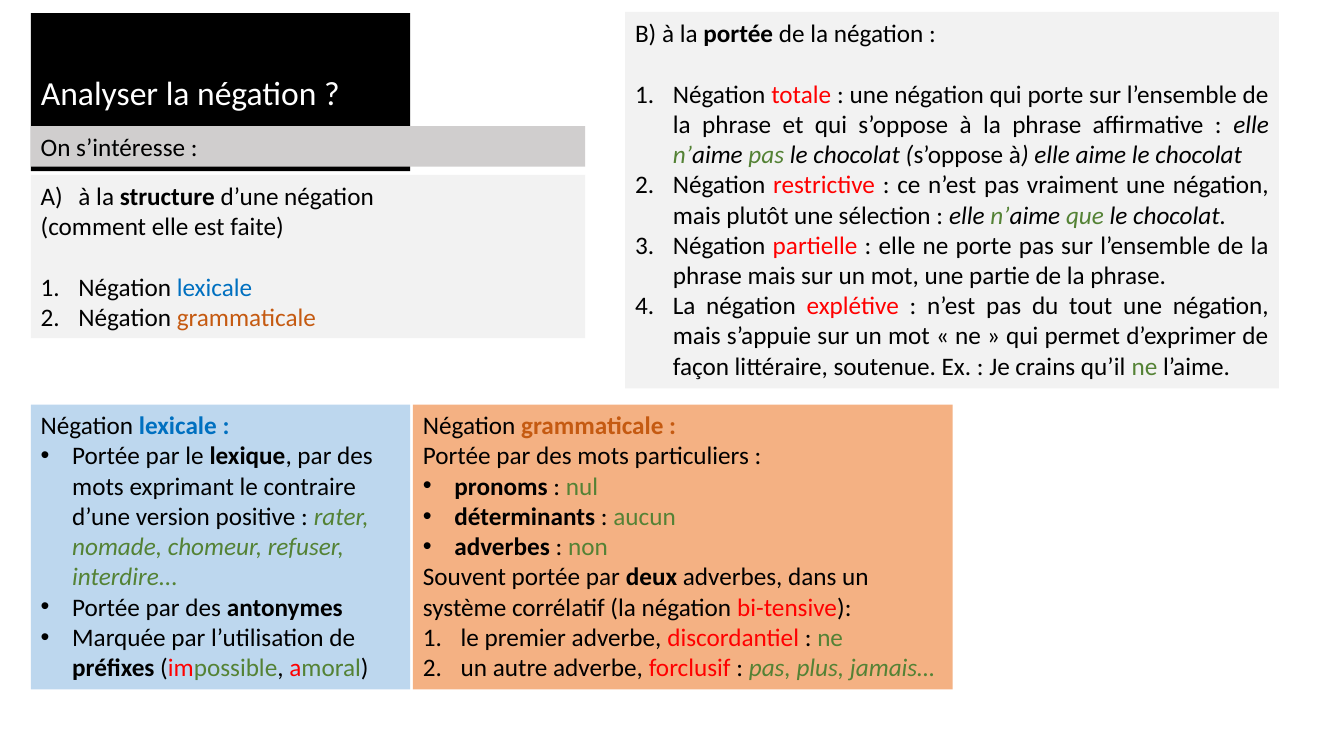
from lxml import etree
from pptx import Presentation
from pptx.dml.color import RGBColor
from pptx.enum import shapes, text
from pptx.oxml.ns import qn
from pptx.util import Pt

COLORS = {
    "black": "000000", "white": "FFFFFF", "light": "F2F2F2", "grey": "D0CECE",
    "sky": "BDD7EE", "peach": "F4B183", "blue": "0070C0", "orange": "C55A11",
    "green": "548235", "red": "FF0000",
}
FONT, SIZE, TITLE_SIZE = "Calibri", 18, 24
BLANK_LINE = 22  # points

# marker: (indent, bullet tag, bullet attributes)
MARKERS = {
    "A)": (27, "a:buAutoNum", {"type": "alphaUcParenR"}),
    "1.": (27, "a:buAutoNum", {"type": "arabicPeriod"}),
    "•": (22.5, "a:buChar", {"char": "•"}),
}

TITLE = "Analyser la négation ?"
TITLE_BOX = (22, 47.5, 271, 36.5)

# paragraph: (marker, space before, runs); a run is plain text or (text, styles)
INTEREST = [("", 0, ["On s’intéresse :"])]
STRUCTURE = [
    ("A)", 0, ["à la ", ("structure", "bold"), " d’une négation"]),
    ("", 0, ["(comment elle est faite)"]),
    ("1.", BLANK_LINE, ["Négation ", ("lexicale", "blue")]),
    ("1.", 0, ["Négation ", ("grammaticale", "orange")]),
]
SCOPE = [
    ("", 0, ["B) à la ", ("portée", "bold"), " de la négation :"]),
    ("1.", BLANK_LINE, [
        "Négation ", ("totale", "red"),
        " : une négation qui porte sur l’ensemble de la phrase et qui s’oppose "
        "à la phrase affirmative : ",
        ("elle ", "italic"), ("n’", "green italic"), ("aime ", "italic"),
        ("pas", "green italic"), (" le chocolat (", "italic"), "s’oppose à",
        (") elle aime le chocolat", "italic")]),
    ("1.", 0, [
        "Négation ", ("restrictive", "red"),
        " : ce n’est pas vraiment une négation, mais plutôt une sélection : ",
        ("elle ", "italic"), ("n’", "green italic"), ("aime ", "italic"),
        ("que", "green italic"), (" le chocolat.", "italic")]),
    ("1.", 0, [
        "Négation ", ("partielle", "red"),
        " : elle ne porte pas sur l’ensemble de la phrase mais sur un mot, "
        "une partie de la phrase."]),
    ("1.", 0, [
        "La négation ", ("explétive", "red"),
        " : n’est pas du tout une négation, mais s’appuie sur un mot « ne » qui "
        "permet d’exprimer de façon littéraire, soutenue. Ex. : Je crains qu’il ",
        ("ne", "green"), " l’aime."]),
]
LEXICAL = [
    ("", 0, ["Négation ", ("lexicale :", "blue bold")]),
    ("•", 0, [
        "Portée par le ", ("lexique", "bold"),
        ", par des mots exprimant le contraire d’une version positive : ",
        ("rater, nomade, chomeur, refuser, interdire...", "green italic")]),
    ("•", 0, ["Portée par des ", ("antonymes", "bold")]),
    ("•", 0, [
        "Marquée par l’utilisation de ", ("préfixes", "bold"), " (",
        ("im", "red"), ("possible", "green"), ", ",
        ("a", "red"), ("moral", "green"), ")"]),
]
GRAMMATICAL = [
    ("", 0, ["Négation ", ("grammaticale :", "orange bold")]),
    ("", 0, ["Portée par des mots particuliers :"]),
    *[("•", 0, [(word_class, "bold"), " : ", (example, "green")])
      for word_class, example in [
          ("pronoms", "nul"), ("déterminants", "aucun"), ("adverbes", "non")]],
    ("", 0, [
        "Souvent portée par ", ("deux", "bold"),
        " adverbes, dans un système corrélatif (la négation ",
        ("bi-tensive", "red"), "):"]),
    ("1.", 0, ["le premier adverbe, ", ("discordantiel", "red"), " : ", ("ne", "green")]),
    ("1.", 0, ["un autre adverbe, ", ("forclusif", "red"), " : ",
               ("pas, plus, jamais…", "green italic")]),
]

LEFT, JUSTIFY = text.PP_ALIGN.LEFT, text.PP_ALIGN.JUSTIFY
BOXES = [  # left, top, width, height, fill, alignment, paragraphs
    (22, 90, 396, 29, "grey", LEFT, INTEREST),
    (22, 125, 396, 116.5, "light", LEFT, STRUCTURE),
    (446.5, 8.5, 467, 269, "light", JUSTIFY, SCOPE),
    (22, 289, 271, 203.5, "sky", LEFT, LEXICAL),
    (295, 289, 385.5, 203.5, "peach", LEFT, GRAMMATICAL),
]


def rgb(name):
    return RGBColor.from_string(COLORS[name])


def style_run(r, size, styles):
    r.font.name, r.font.size = FONT, Pt(size)
    r.font.bold = "bold" in styles
    r.font.italic = "italic" in styles
    color = next((s for s in styles if s in COLORS), "black")
    r.font.color.rgb = rgb(color)


def add_marker(p, marker):
    indent, tag, attributes = MARKERS[marker]
    pPr = p._p.get_or_add_pPr()
    pPr.set("marL", str(Pt(indent)))
    pPr.set("indent", str(-Pt(indent)))
    etree.SubElement(pPr, qn("a:buFont"), typeface="Arial" if marker == "•" else "+mj-lt")
    etree.SubElement(pPr, qn(tag), attributes)


def fill_box(sp, fill, anchor):
    sp.fill.solid()
    sp.fill.fore_color.rgb = rgb(fill)
    sp.line.fill.background()
    tf = sp.text_frame
    tf.word_wrap = True
    tf.auto_size = text.MSO_AUTO_SIZE.SHAPE_TO_FIT_TEXT
    tf.vertical_anchor = anchor
    return tf


def add_title(s):
    sp = s.shapes.title
    sp.left, sp.top, sp.width, sp.height = map(Pt, TITLE_BOX)
    tf = fill_box(sp, "black", text.MSO_ANCHOR.MIDDLE)
    tf.text = TITLE
    p = tf.paragraphs[0]
    p.alignment = LEFT
    style_run(p.runs[0], TITLE_SIZE, ["white"])


def add_box(s, left, top, width, height, fill, alignment, paragraphs):
    sp = s.shapes.add_shape(shapes.MSO_SHAPE.RECTANGLE,
                            *map(Pt, (left, top, width, height)))
    sp.shadow.inherit = False
    tf = fill_box(sp, fill, text.MSO_ANCHOR.TOP)
    for i, (marker, before, runs) in enumerate(paragraphs):
        p = tf.add_paragraph() if i else tf.paragraphs[0]
        p.alignment = alignment
        if before:
            p.space_before = Pt(before)
        if marker:
            add_marker(p, marker)
        for run in runs:
            words, styles = (run, "") if isinstance(run, str) else run
            r = p.add_run()
            r.text = words
            style_run(r, SIZE, styles.split())


def main():
    prs = Presentation()
    prs.slide_width, prs.slide_height = Pt(960), Pt(540)
    s = prs.slides.add_slide(prs.slide_layouts[5])
    add_title(s)
    for box in BOXES:
        add_box(s, *box)
    prs.save("out.pptx")


if __name__ == "__main__":
    main()
